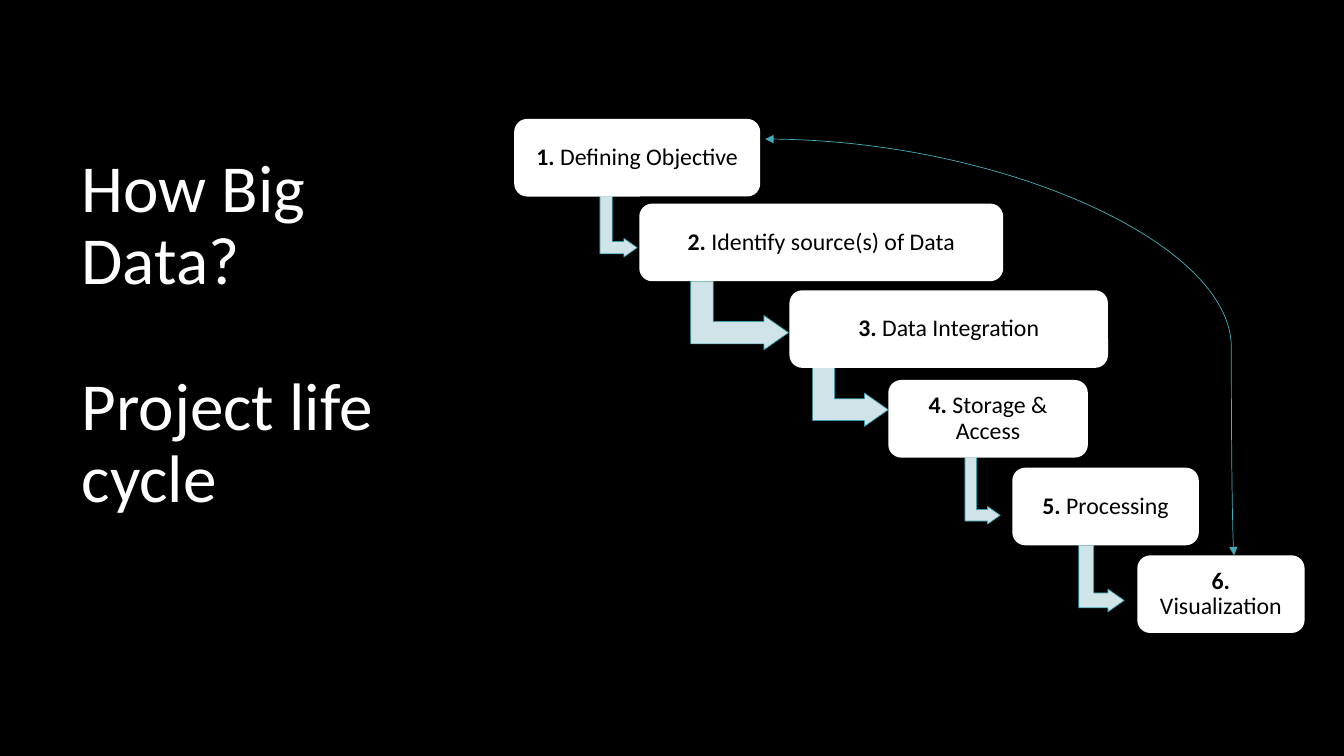
from lxml import etree
from pptx import Presentation
from pptx.dml.color import RGBColor
from pptx.enum.shapes import MSO_CONNECTOR as CONN, MSO_SHAPE as SHAPE
from pptx.enum.text import MSO_ANCHOR as ANCHOR, MSO_AUTO_SIZE as AUTO, PP_ALIGN as ALIGN
from pptx.oxml.ns import qn
from pptx.util import Inches, Pt

FONT = "Calibri"
COLORS = {"back": "000000", "title": "FFFFFF", "box": "FFFFFF", "text": "000000",
          "arrow": "CFE3E8", "outline": "3B9EAC", "loop": "41AEBD"}
TITLE = ["How Big Data?", "Project life cycle"]
TITLE_AREA = (0.71, 1.48, 3.21, 4.87)
BOX_H = 0.77

# Label, left, top and width of each box
STEPS = [
    ("Defining Objective", 5.1, 1.18, 2.44),
    ("Identify source(s) of Data", 6.34, 2.02, 3.61),
    ("Data Integration", 7.83, 2.88, 3.16),
    ("Storage & Access", 8.81, 3.77, 1.98),
    ("Processing", 10.04, 4.64, 1.85),
    ("Visualization", 11.28, 5.51, 1.66),
]
# Left, top, reach to the right and drop of the arrow leaving each box but the last
ARROWS = [
    (5.95, 1.95, 0.37, 0.6),
    (6.85, 2.79, 0.97, 0.68),
    (8.06, 3.57, 0.75, 0.66),
    (9.57, 4.54, 0.35, 0.66),
    (10.7, 5.41, 0.45, 0.66),
]
ARROW_ADJ = (0.328, 0.25, 0.358)
LOOP = (12.24, 5.51, 7.59, 1.38)


def rgb(name):
    return RGBColor.from_string(COLORS[name])


def add_run(p, text, size, color, bold=False):
    r = p.add_run()
    r.text = text
    r.font.name, r.font.size, r.font.bold = FONT, Pt(size), bold
    r.font.color.rgb = rgb(color)


def add_title(s):
    sp = s.shapes.title
    sp.left, sp.top, sp.width, sp.height = map(Inches, TITLE_AREA)
    tf = sp.text_frame
    tf.word_wrap, tf.auto_size, tf.vertical_anchor = True, AUTO.NONE, ANCHOR.TOP
    for i, text in enumerate(TITLE):
        p = tf.add_paragraph() if i else tf.paragraphs[0]
        p.alignment, p.line_spacing = ALIGN.LEFT, 0.9
        p.space_before = Pt(52 if i else 0)
        add_run(p, text, 48, "title")


def add_filled(s, kind, area, fill):
    sp = s.shapes.add_shape(kind, *map(Inches, area))
    sp.shadow.inherit = False
    sp.fill.solid()
    sp.fill.fore_color.rgb = rgb(fill)
    return sp


def add_arrow(s, left, top, reach, drop):
    """Draw a down-then-right arrow: a bent-up arrow turned a quarter about its centre."""
    shift = (reach - drop) / 2
    sp = add_filled(s, SHAPE.BENT_UP_ARROW, (left + shift, top - shift, drop, reach), "arrow")
    sp.rotation = 90
    for i, value in enumerate(ARROW_ADJ):
        sp.adjustments[i] = value
    sp.line.color.rgb, sp.line.width = rgb("outline"), Pt(0.5)


def add_step(s, number, label, left, top, width):
    sp = add_filled(s, SHAPE.ROUNDED_RECTANGLE, (left, top, width, BOX_H), "box")
    sp.line.fill.background()
    tf = sp.text_frame
    tf.word_wrap, tf.vertical_anchor = True, ANCHOR.MIDDLE
    tf.margin_left = tf.margin_right = tf.margin_top = tf.margin_bottom = Inches(0.11)
    p = tf.paragraphs[0]
    p.alignment, p.line_spacing = ALIGN.CENTER, 0.9
    add_run(p, f"{number}. ", 17, "text", bold=True)
    add_run(p, label, 17, "text")


def add_loop(s):
    """Draw the two-headed curve joining the last step to the first."""
    cx = s.shapes.add_connector(CONN.CURVE, *map(Inches, LOOP))
    cx.line.color.rgb, cx.line.width = rgb("loop"), Pt(0.5)
    props = cx._element.spPr
    guides = props.find(qn("a:prstGeom")).find(qn("a:avLst"))
    etree.SubElement(guides, qn("a:gd"), name="adj1", fmla="val 600")
    for end in ("a:headEnd", "a:tailEnd"):
        etree.SubElement(props.find(qn("a:ln")), qn(end), type="triangle")
    etree.SubElement(props, qn("a:effectLst"))


def main():
    prs = Presentation()
    prs.slide_width, prs.slide_height = Inches(13.33), Inches(7.5)
    s = prs.slides.add_slide(prs.slide_layouts[5])
    s.background.fill.solid()
    s.background.fill.fore_color.rgb = rgb("back")
    add_title(s)
    for i, step in enumerate(STEPS):
        if i < len(ARROWS):
            add_arrow(s, *ARROWS[i])
        add_step(s, i + 1, *step)
    add_loop(s)
    prs.save("out.pptx")


if __name__ == "__main__":
    main()
